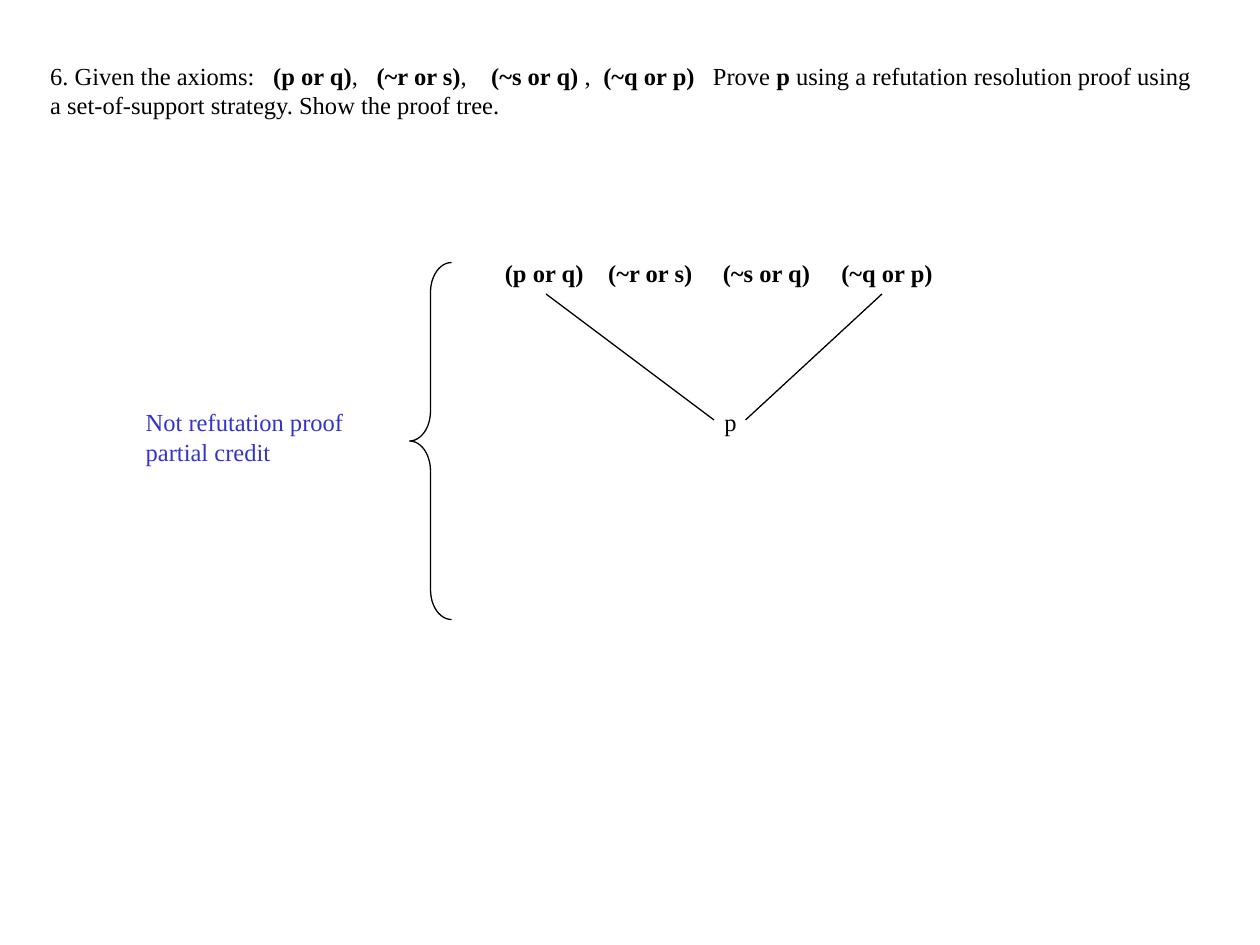
import dataclasses

import lxml.etree
import pptx
import pptx.dml.color
import pptx.enum.shapes
import pptx.enum.text
import pptx.oxml.ns
import pptx.util

UNITS_PER_INCH = 12


@dataclasses.dataclass(frozen=True)
class Theme:
    font: str = "Times New Roman"
    size: float = 14
    ink: str = "000000"
    remark: str = "3333CC"
    line_width: float = 0.75


THEME = Theme()
AXIOMS = ["(p or q)", "(~r or s)", "(~s or q)", "(~q or p)"]


def grid(units):
    return pptx.util.Inches(units / UNITS_PER_INCH)


def color(value):
    return pptx.dml.color.RGBColor.from_string(value)


def style_line(line):
    line.color.rgb = color(THEME.ink)
    line.width = pptx.util.Pt(THEME.line_width)


def add_tab_stops(paragraph, inches):
    properties = paragraph._p.get_or_add_pPr()
    tab_list = lxml.etree.SubElement(properties, pptx.oxml.ns.qn("a:tabLst"))
    for position in inches:
        stop = lxml.etree.SubElement(tab_list, pptx.oxml.ns.qn("a:tab"))
        stop.set("pos", str(pptx.util.Inches(position)))
        stop.set("algn", "l")


def add_text(slide, box, lines, text_color=THEME.ink, tab_stops=()):
    shape = slide.shapes.add_textbox(*map(grid, box))
    frame = shape.text_frame
    frame.word_wrap = True
    frame.auto_size = pptx.enum.text.MSO_AUTO_SIZE.SHAPE_TO_FIT_TEXT
    for index, runs in enumerate(lines):
        paragraph = frame.add_paragraph() if index else frame.paragraphs[0]
        if tab_stops:
            add_tab_stops(paragraph, tab_stops)
        for text, bold in runs:
            run = paragraph.add_run()
            run.text = text
            run.font.name = THEME.font
            run.font.size = pptx.util.Pt(THEME.size)
            run.font.bold = bold
            run.font.color.rgb = color(text_color)


def add_branch(slide, start, end):
    connector = slide.shapes.add_connector(
        pptx.enum.shapes.MSO_CONNECTOR.STRAIGHT, *map(grid, start + end)
    )
    style_line(connector.line)
    lxml.etree.SubElement(
        connector._element.spPr, pptx.oxml.ns.qn("a:effectLst")
    )


def add_brace(slide, box):
    shape = slide.shapes.add_shape(
        pptx.enum.shapes.MSO_SHAPE.LEFT_BRACE, *map(grid, box)
    )
    shape.adjustments[0] = 0.71
    shape.shadow.inherit = False
    shape.fill.background()
    style_line(shape.line)


def question_lines():
    first = [("6. Given the axioms:\t", False)]
    for axiom, separator in zip(AXIOMS, [",\t", ",\t", " ,\t", "\t"]):
        first += [(axiom, True), (separator, False)]
    first += [
        ("Prove ", False),
        ("p", True),
        (" using a refutation resolution proof using", False),
    ]
    second = [("a set-of-support strategy. Show the proof tree.", False)]
    return [first, second]


def add_proof_tree(slide):
    add_text(
        slide, (46.9, 24, 44, 4.1), [[("\t".join(AXIOMS), True)]],
        tab_stops=(0.82, 1.73, 2.67),
    )
    add_branch(slide, (52, 28), (68, 40))
    add_text(slide, (67.8, 38.2, 3.6, 4.1), [[("p", False)]])
    add_branch(slide, (84, 28), (71, 40))


def main():
    presentation = pptx.Presentation()
    presentation.slide_width = grid(120)
    presentation.slide_height = grid(90)
    slide = presentation.slides.add_slide(presentation.slide_layouts[6])
    add_text(
        slide, (3.6, 5.2, 111.4, 6.8), question_lines(),
        tab_stops=(1.77, 2.59, 3.5, 4.39, 5.26),
    )
    add_proof_tree(slide)
    add_brace(slide, (39, 25, 4, 34))
    add_text(
        slide, (12.7, 38.2, 21.6, 6.8),
        [[("Not refutation proof", False)], [("partial credit", False)]],
        text_color=THEME.remark,
    )
    presentation.save("out.pptx")


if __name__ == "__main__":
    main()
